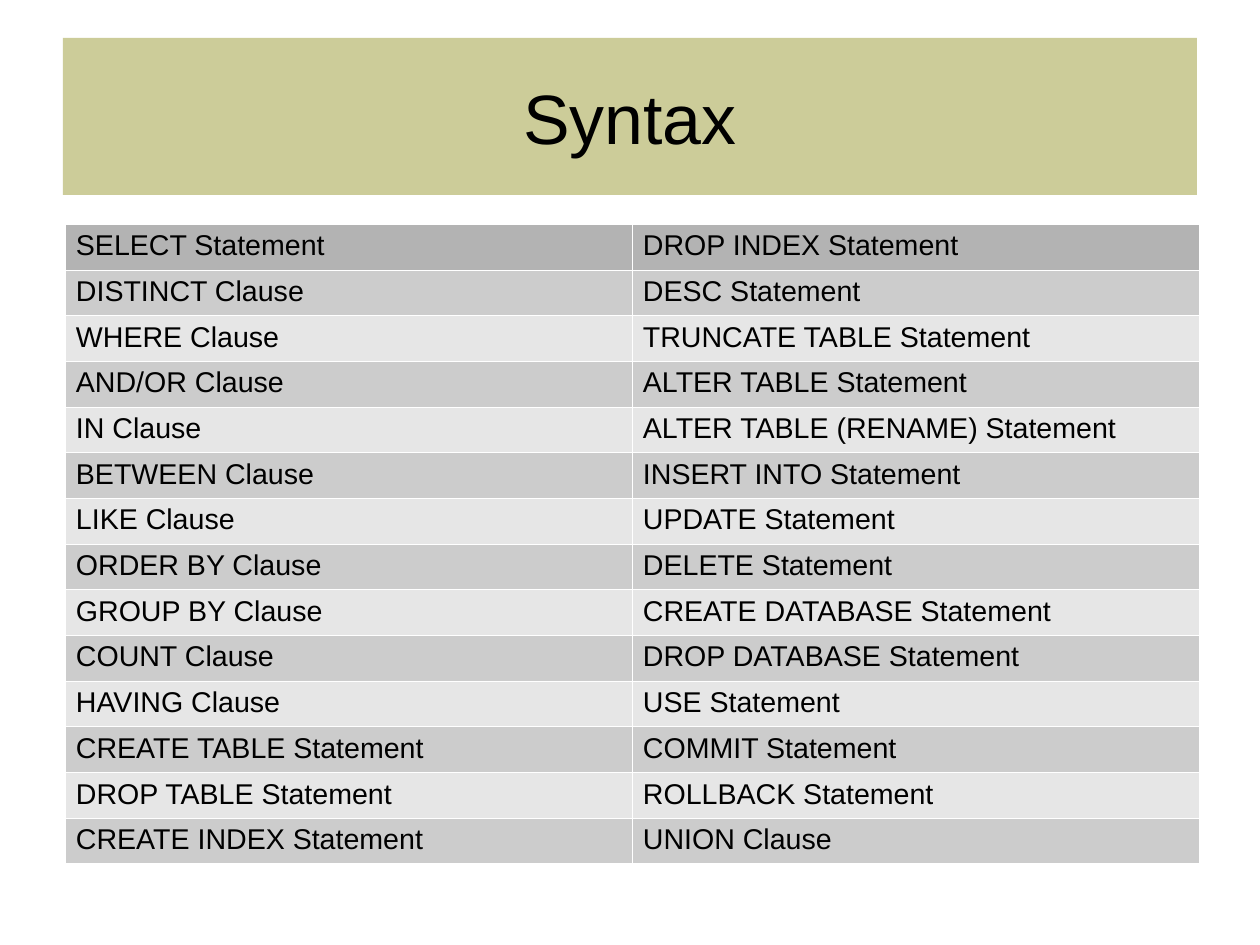
from dataclasses import dataclass

from lxml import etree
from pptx import Presentation, util as u
from pptx.dml.color import RGBColor
from pptx.enum import text
from pptx.oxml.ns import qn

TITLE = "Syntax"
COMMANDS = [
    ("SELECT Statement", "DROP INDEX Statement"),
    ("DISTINCT Clause", "DESC Statement"),
    ("WHERE Clause", "TRUNCATE TABLE Statement"),
    ("AND/OR Clause", "ALTER TABLE Statement"),
    ("IN Clause", "ALTER TABLE (RENAME) Statement"),
    ("BETWEEN Clause", "INSERT INTO Statement"),
    ("LIKE Clause", "UPDATE Statement"),
    ("ORDER BY Clause", "DELETE Statement"),
    ("GROUP BY Clause", "CREATE DATABASE Statement"),
    ("COUNT Clause", "DROP DATABASE Statement"),
    ("HAVING Clause", "USE Statement"),
    ("CREATE TABLE Statement", "COMMIT Statement"),
    ("DROP TABLE Statement", "ROLLBACK Statement"),
    ("CREATE INDEX Statement", "UNION Clause"),
]


@dataclass(frozen=True)
class Theme:
    font: str = "Arial"
    ink: str = "000000"
    banner: str = "CCCC99"
    header: str = "B3B3B3"
    bands: tuple = ("E6E6E6", "CCCCCC")
    rule: str = "FFFFFF"
    rule_pt: float = 0.06
    title_pt: int = 44
    cell_pt: int = 18


THEME = Theme()
EMU_PER_PX = 8000
SLIDE = (1260, 945)
BANNER = (63, 38, 1134, 157)
GRID = (65, 224, 1134, 640)
CELL_INSET = (11, 6)


def px(length):
    return u.Emu(round(length * EMU_PER_PX))


def paint(fill, color):
    fill.solid()
    fill.fore_color.rgb = RGBColor.from_string(color)


def style(paragraph, size):
    for run in paragraph.runs:
        run.font.name = THEME.font
        run.font.size = u.Pt(size)
        run.font.bold = False
        run.font.color.rgb = RGBColor.from_string(THEME.ink)


def rule_cell(cell):
    """Put a hairline on all four sides; borders must precede the cell fill."""
    properties = cell._tc.get_or_add_tcPr()
    for side in ("lnL", "lnR", "lnT", "lnB"):
        line = etree.SubElement(properties, qn(f"a:{side}"), w=str(u.Pt(THEME.rule_pt)))
        fill = etree.SubElement(line, qn("a:solidFill"))
        etree.SubElement(fill, qn("a:srgbClr"), val=THEME.rule)


def add_banner(slide):
    banner = slide.shapes.title
    banner.left, banner.top, banner.width, banner.height = map(px, BANNER)
    paint(banner.fill, THEME.banner)
    frame = banner.text_frame
    frame.text = TITLE
    frame.vertical_anchor = text.MSO_ANCHOR.MIDDLE
    frame.margin_left = frame.margin_right = frame.margin_top = frame.margin_bottom = 0
    frame.paragraphs[0].alignment = text.PP_ALIGN.CENTER
    style(frame.paragraphs[0], THEME.title_pt)


def add_commands(slide):
    rows, columns = len(COMMANDS), len(COMMANDS[0])
    grid = slide.shapes.add_table(rows, columns, *map(px, GRID)).table
    for row in grid.rows:
        row.height = px(GRID[3] / rows)
    for r, commands in enumerate(COMMANDS):
        color = THEME.bands[r % 2] if r else THEME.header
        for c, command in enumerate(commands):
            cell = grid.cell(r, c)
            cell.text_frame.text = command
            style(cell.text_frame.paragraphs[0], THEME.cell_pt)
            cell.margin_left = cell.margin_right = px(CELL_INSET[0])
            cell.margin_top = cell.margin_bottom = px(CELL_INSET[1])
            rule_cell(cell)
            paint(cell.fill, color)


def main():
    deck = Presentation()
    deck.slide_width, deck.slide_height = map(px, SLIDE)
    slide = deck.slides.add_slide(deck.slide_layouts.get_by_name("Title Only"))
    add_banner(slide)
    add_commands(slide)
    deck.save("out.pptx")


if __name__ == "__main__":
    main()
